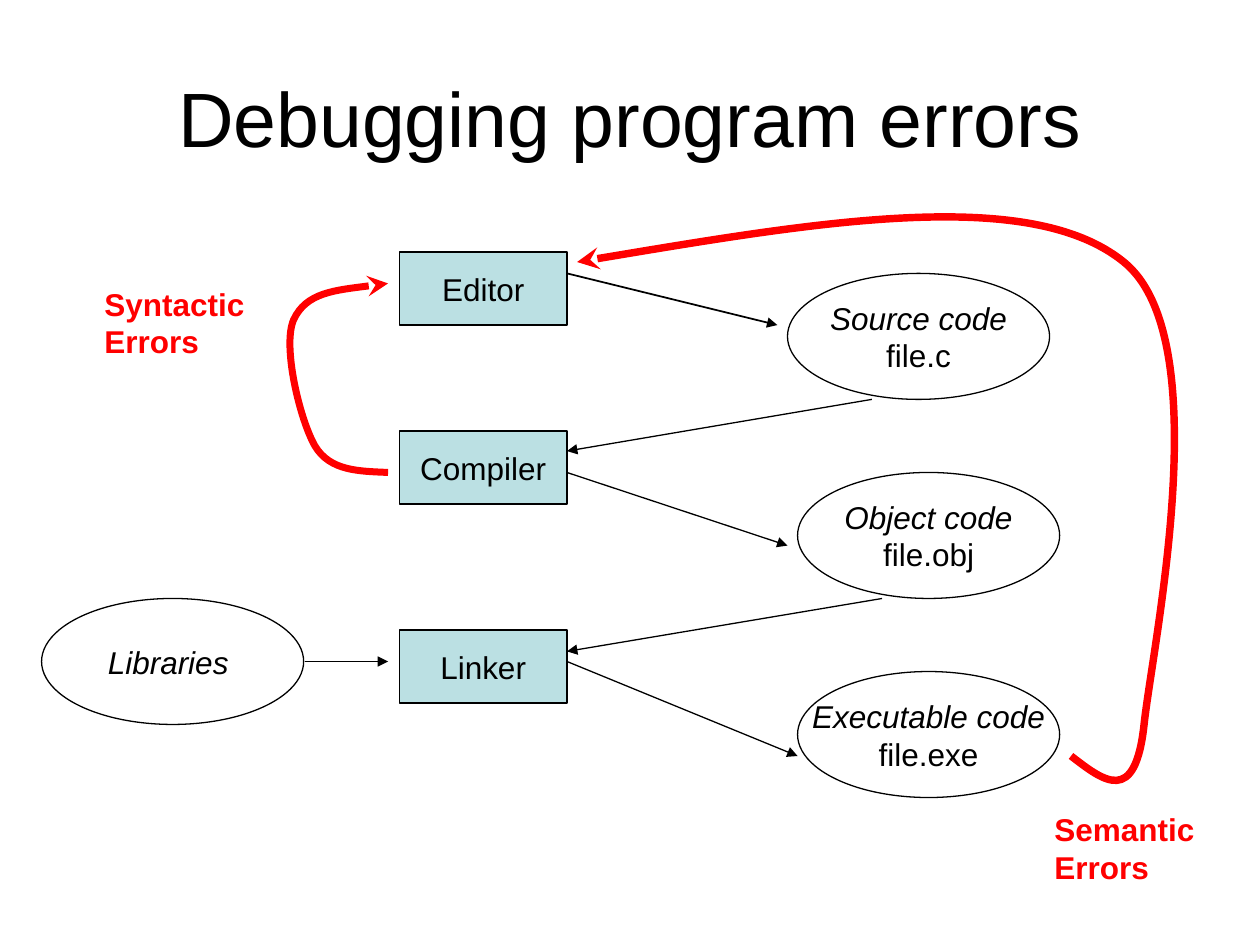
import pptx
import pptx.util
import pptx.dml.color
import pptx.enum.shapes
import pptx.enum.text
import pptx.oxml
import pptx.oxml.ns
from pptx.util import Inches

BLACK = pptx.dml.color.RGBColor(0x00, 0x00, 0x00)
RED = pptx.dml.color.RGBColor(0xFF, 0x00, 0x00)
PALE_TEAL = pptx.dml.color.RGBColor(0xBB, 0xE0, 0xE3)

TITLE = "Debugging program errors"
TOOL_LEFT, TOOL_SIZE = 3.17, (1.33, 0.58)
TOOLS = [("Editor", 2), ("Compiler", 3.42), ("Linker", 5)]
FILE_SIZE = (2.08, 1)
FILES = [
    (["Source code", "file.c"], 6.25, 2.17),
    (["Object code", "file.obj"], 6.33, 3.75),
    (["Executable code", "file.exe"], 6.33, 5.33),
    (["Libraries "], 0.33, 4.75),
]
ARROWS = [
    ((4.5, 2.17), (6.17, 2.58), 1),
    ((4.5, 3.75), (6.25, 4.33), 0.75),
    ((4.5, 5.25), (6.33, 6), 0.75),
    ((6.92, 3.17), (4.5, 3.58), 0.75),
    ((7, 4.75), (4.5, 5.17), 0.75),
    ((2.42, 5.25), (3.08, 5.25), 1),
]
ERROR_SIZE = (1.31, 0.7)
ERRORS = [
    (["Syntactic", "Errors"], 0.73, 2.21, 4,
     [(3.08, 3.75), (2.85, 3.74), (2.62, 3.74), (2.5, 3.54), (2.38, 3.33),
      (2.24, 2.75), (2.33, 2.54), (2.43, 2.32), (2.76, 2.29), (3.08, 2.25)]),
    (["Semantic", "Errors"], 8.27, 6.38, 4.25,
     [(8.5, 6), (8.76, 6.2), (9.01, 6.4), (9.08, 5.75), (9.15, 5.1),
      (9.67, 2.69), (8.92, 2.08), (8.17, 1.47), (6.38, 1.78), (4.58, 2.08)]),
]


def write(shape, lines, points=18, color=BLACK, centered=True, bold=False, italic_first=False):
    frame = shape.text_frame
    frame.text = "\n".join(lines)
    frame.word_wrap = False
    anchor = pptx.enum.text.MSO_ANCHOR
    frame.vertical_anchor = anchor.MIDDLE if centered else anchor.TOP
    align = pptx.enum.text.PP_ALIGN
    for index, para in enumerate(frame.paragraphs):
        para.alignment = align.CENTER if centered else align.LEFT
        for span in para.runs:
            span.font.name = "Arial"
            span.font.size = pptx.util.Pt(points)
            span.font.color.rgb = color
            span.font.bold = bold
            span.font.italic = italic_first and index == 0


def outline(shape, color, width, head=None):
    shape.line.color.rgb = color
    shape.line.width = pptx.util.Pt(width)
    if head:
        line = shape._element.spPr.find(pptx.oxml.ns.qn("a:ln"))
        tail = line.makeelement(pptx.oxml.ns.qn("a:tailEnd"), {"type": head})
        line.append(tail)


def add_node(page, kind, left, top, size, lines, fill=None):
    node = page.shapes.add_shape(kind, *map(Inches, (left, top, *size)))
    node.shadow.inherit = False
    if fill is None:
        node.fill.background()
    else:
        node.fill.solid()
        node.fill.fore_color.rgb = fill
    outline(node, BLACK, 0.75)
    write(node, lines, italic_first=fill is None)


def add_text(page, left, top, size, lines, **style):
    box = page.shapes.add_textbox(*map(Inches, (left, top, *size)))
    write(box, lines, **style)


def add_arrow(page, start, end, width):
    arrow = page.shapes.add_connector(
        pptx.enum.shapes.MSO_CONNECTOR.STRAIGHT, *map(Inches, (*start, *end)))
    outline(arrow, BLACK, width, "triangle")
    properties = arrow._element.spPr
    properties.append(properties.makeelement(pptx.oxml.ns.qn("a:effectLst"), {}))


def add_curve(page, points, width):
    start, *rest = [(Inches(x), Inches(y)) for x, y in points]
    builder = page.shapes.build_freeform(*start)
    builder.add_line_segments(rest, close=False)
    curve = builder.convert_to_shape()
    curve.shadow.inherit = False
    curve.fill.background()
    outline(curve, RED, width, "stealth")
    segments = curve._element.xpath(".//a:lnTo")
    for first in range(0, len(segments), 3):
        group = segments[first:first + 3]
        bezier = group[0].makeelement(pptx.oxml.ns.qn("a:cubicBezTo"), {})
        group[0].addprevious(bezier)
        for segment in group:
            bezier.append(segment[0])
            segment.getparent().remove(segment)


def main():
    deck = pptx.Presentation()
    deck.slide_width, deck.slide_height = Inches(10), Inches(7.5)
    page = deck.slides.add_slide(deck.slide_layouts[6])
    shapes = pptx.enum.shapes.MSO_SHAPE

    add_text(page, 0.5, 0.3, (9, 1.25), [TITLE], points=44)
    for name, top in TOOLS:
        add_node(page, shapes.RECTANGLE, TOOL_LEFT, top, TOOL_SIZE, [name], PALE_TEAL)
    for lines, left, top in FILES:
        add_node(page, shapes.OVAL, left, top, FILE_SIZE, lines)
    for start, end, width in ARROWS:
        add_arrow(page, start, end, width)
    for lines, left, top, width, points in ERRORS:
        add_curve(page, points, width)
        add_text(page, left, top, ERROR_SIZE, lines, color=RED, centered=False, bold=True)

    deck.save("out.pptx")


if __name__ == "__main__":
    main()
